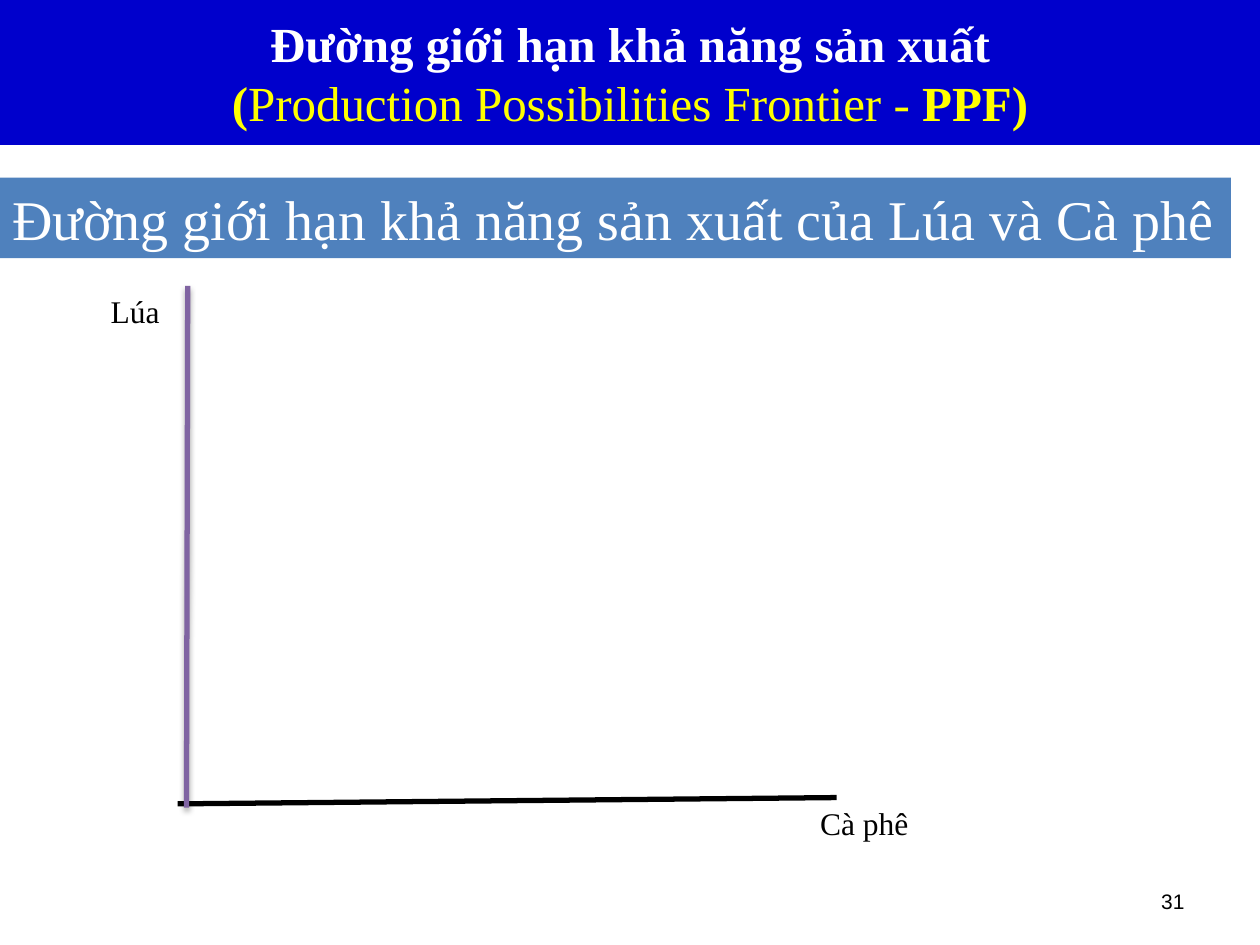
from lxml.etree import SubElement
from pptx import Presentation
from pptx.dml.color import RGBColor
from pptx.enum.shapes import MSO_CONNECTOR
from pptx.enum.text import MSO_ANCHOR as Anchor, MSO_AUTO_SIZE as AutoSize, PP_ALIGN as Align
from pptx.oxml.ns import qn
from pptx.util import Inches, Pt

COLORS = {
    "title_band": "0000CC",
    "subtitle_band": "4F81BD",
    "white": "FFFFFF",
    "yellow": "FFFF00",
    "black": "000000",
    "purple": "8064A2",
}
SERIF = "Times New Roman"


def color(name):
    return RGBColor.from_string(COLORS[name])


def place(shape, left, top, width, height):
    shape.left, shape.top = Inches(left), Inches(top)
    shape.width, shape.height = Inches(width), Inches(height)


def fill_band(shape, color_name):
    shape.fill.solid()
    shape.fill.fore_color.rgb = color(color_name)


def style_font(font, size, color_name, name=SERIF):
    font.name = name
    font.size = Pt(size)
    font.color.rgb = color(color_name)


def add_title(slide):
    title = slide.shapes.title
    place(title, 0, 0, 10, 1.15)
    fill_band(title, "title_band")
    frame = title.text_frame
    frame.auto_size = AutoSize.NONE
    frame.vertical_anchor = Anchor.MIDDLE
    paragraph = frame.paragraphs[0]
    paragraph.alignment = Align.CENTER
    style_font(paragraph.font, 28, "white")

    def add_run(text, color_name, bold):
        run = paragraph.add_run()
        run.text = text
        run.font.bold = bold
        run.font.color.rgb = color(color_name)

    add_run("Đường giới hạn khả năng sản xuất", "white", True)
    paragraph.add_line_break()
    add_run("(", "yellow", True)
    add_run("Production Possibilities Frontier - ", "yellow", False)
    add_run("PPF)", "yellow", True)


def add_text(slide, text, box, size=18, color_name="black", name=SERIF,
             align=Align.LEFT, anchor=Anchor.TOP):
    shape = slide.shapes.add_textbox(*map(Inches, box))
    frame = shape.text_frame
    frame.word_wrap = True
    frame.vertical_anchor = anchor
    paragraph = frame.paragraphs[0]
    paragraph.text = text
    paragraph.alignment = align
    style_font(paragraph.font, size, color_name, name)
    return shape


def add_axis(slide, start, end, color_name):
    """Draw an axis without a shadow and return its effect list."""
    axis = slide.shapes.add_connector(
        MSO_CONNECTOR.STRAIGHT, *map(Inches, start + end))
    axis.line.color.rgb = color(color_name)
    axis.line.width = Pt(3)
    return SubElement(axis._element.spPr, qn("a:effectLst"))


def add_shadow(effects):
    shadow = SubElement(effects, qn("a:outerShdw"), blurRad=str(Pt(3.1)),
                        dist=str(Pt(1.8)), dir="5400000", rotWithShape="0")
    shade = SubElement(shadow, qn("a:srgbClr"), val=COLORS["black"])
    SubElement(shade, qn("a:alpha"), val="35000")


def main():
    presentation = Presentation()
    presentation.slide_width, presentation.slide_height = Inches(10), Inches(7.5)
    slide = presentation.slides.add_slide(presentation.slide_layouts[5])

    add_title(slide)
    subtitle = add_text(
        slide, "Đường giới hạn khả năng sản xuất của Lúa và Cà phê",
        (0, 1.41, 9.77, 0.64), size=32, color_name="white",
        align=Align.JUSTIFY, anchor=Anchor.MIDDLE)
    fill_band(subtitle, "subtitle_band")

    add_axis(slide, (1.41, 6.38), (6.64, 6.33), "black")
    add_text(slide, "Cà phê", (6.41, 6.33, 1.09, 0.4))
    add_text(slide, "Lúa", (0.78, 2.27, 0.62, 0.4))
    add_shadow(add_axis(slide, (1.49, 2.27), (1.48, 6.41), "purple"))

    add_text(slide, "31", (7.17, 6.95, 2.33, 0.4), size=12, name="Arial",
             align=Align.RIGHT, anchor=Anchor.MIDDLE)
    presentation.save("out.pptx")


if __name__ == "__main__":
    main()
